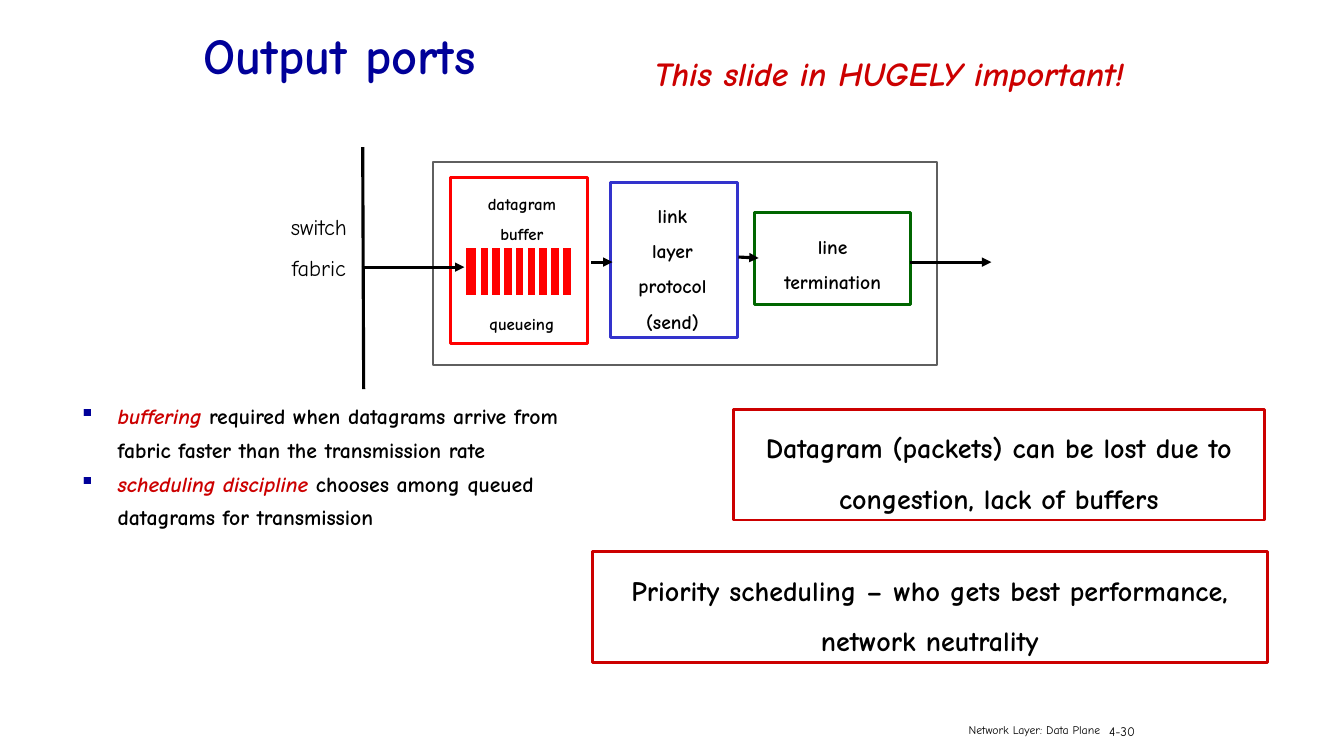
from lxml import etree
from pptx import Presentation
from pptx import util as u
from pptx.dml.color import RGBColor
from pptx.enum import shapes, text
from pptx.oxml.ns import qn

COLORS = {
    "navy": "000099", "crimson": "CC0000", "black": "000000", "white": "FFFFFF",
    "gray": "5F5F5F", "green": "006600", "blue": "3333CC", "red": "FF0000",
}
FONT = "Comic Neue"
COLUMNS, ROWS = 133.4, 75
CELL = u.Inches(0.1)

LEFT, CENTER, RIGHT = text.PP_ALIGN.LEFT, text.PP_ALIGN.CENTER, text.PP_ALIGN.RIGHT
MIDDLE = text.MSO_ANCHOR.MIDDLE
GROW = text.MSO_AUTO_SIZE.SHAPE_TO_FIT_TEXT

TITLE = ("Output ports", (19.2, 0.1, 85, 7.5))
BULLETS = [
    [("buffering", {"color": "crimson", "italic": True}),
     (" required when datagrams arrive from fabric faster than the transmission rate", {})],
    [("scheduling discipline", {"color": "crimson", "italic": True}),
     (" chooses among queued datagrams for transmission", {})],
]
BULLETS_AT = (6.9, 38.7, 52.4, 14.5)

FRAMES = [
    ((43, 16.1, 50, 20.1), "gray", 1.5),
    ((74.9, 21.1, 15.5, 9.1), "green", 2.25),
    ((60.6, 18.1, 12.6, 15.4), "blue", 2.25),
    ((44.7, 17.6, 13.6, 16.5), "red", 2.25),
]
WARNINGS = [
    ("Datagram (packets) can be lost due to congestion, lack of buffers", (72.8, 40.6, 52.7, 11)),
    ("Priority scheduling – who gets best performance, network neutrality", (58.8, 54.7, 67, 11)),
]
STAGE_LABELS = [
    (["line", "termination"], (74.9, 21.1, 15.5, 9.1), {"size": 14, "bold": True}),
    (["link", "layer", "protocol", "(send)"], (61, 21.5, 11.5, 9.1), {"size": 14, "bold": True}),
    (["switch", "fabric"], (25.9, 19.3, 11.5, 9.1), {"size": 16}),
]
BUFFER_LABEL = (["datagram", "buffer", "queueing"], (47.4, 17.7, 8.8, 16))
QUEUE_GAP = 43
QUEUE = (46, 24.4, 10.9, 5.1)
DIVIDERS = {"count": 8, "first": 47.5, "last": 55.65, "top": 24.5, "bottom": 29.4}
FABRIC_LINE = ((36, 14.6), (36.1, 38.6))
ARROWS = [
    ((58.7, 26), (60.8, 26)),
    ((73.3, 25.5), (75.3, 25.6)),
    ((90.3, 26), (98.4, 26)),
    ((35.9, 26.5), (46.1, 26.5)),
]
REMARK = ("This slide in HUGELY important!", (63.8, 2.8, 48.9, 7))
FOOTER = [
    ("4-30", (109.1, 70.8, 6.1, 3), 9.3, LEFT),
    ("Network Layer: Data Plane", (86.4, 70.8, 23.8, 2.6), 8.4, RIGHT),
]


def grid(*values):
    return [round(value * CELL) for value in values]


def rgb(name):
    return RGBColor.from_string(COLORS[name])


def set_all(target, **values):
    for name, value in values.items():
        setattr(target, name, value)


def add_run(paragraph, words, size=14, color="black", **style):
    run = paragraph.add_run()
    run.text = words
    set_all(run.font, name=FONT, size=u.Pt(size), **style)
    run.font.color.rgb = rgb(color)


def write(shape, lines, align=CENTER, spacing=1.5, frame=None, **style):
    text_frame = shape.text_frame
    set_all(text_frame, **(frame or {}))
    for index, line in enumerate(lines):
        paragraph = text_frame.add_paragraph() if index else text_frame.paragraphs[0]
        set_all(paragraph, alignment=align, line_spacing=spacing, space_before=u.Pt(0))
        for words, extra in [(line, {})] if isinstance(line, str) else line:
            add_run(paragraph, words, **{**style, **extra})
    return text_frame.paragraphs


def add_rectangle(slide, at, line, width, fill="white"):
    shape = slide.shapes.add_shape(shapes.MSO_SHAPE.RECTANGLE, *grid(*at))
    shape.shadow.inherit = False
    shape.fill.solid()
    shape.fill.fore_color.rgb = rgb(fill)
    shape.line.color.rgb = rgb(line)
    shape.line.width = u.Pt(width)
    return shape


def add_label(slide, at, lines, **style):
    return write(slide.shapes.add_textbox(*grid(*at)), lines, **style)


def add_line(slide, start, end, color="black", width=2.25, arrow=False):
    line = slide.shapes.add_connector(shapes.MSO_CONNECTOR.STRAIGHT, *grid(*start, *end))
    line.line.color.rgb = rgb(color)
    line.line.width = u.Pt(width)
    if arrow:
        etree.SubElement(line.line._get_or_add_ln(), qn("a:tailEnd"), type="triangle")
    etree.SubElement(line._element.spPr, qn("a:effectLst"))


def add_bullet(paragraph):
    properties = paragraph._p.get_or_add_pPr()
    properties.set("marL", str(u.Inches(0.38)))
    properties.set("indent", str(-u.Inches(0.38)))
    color = etree.SubElement(properties, qn("a:buClr"))
    etree.SubElement(color, qn("a:srgbClr"), val=COLORS["navy"])
    etree.SubElement(properties, qn("a:buChar"), char="▪")


def main():
    presentation = Presentation()
    set_all(presentation, slide_width=round(COLUMNS * CELL), slide_height=ROWS * CELL)
    slide = presentation.slides.add_slide(presentation.slide_layouts[5])

    words, at = TITLE
    title = slide.shapes.title
    set_all(title, **dict(zip(("left", "top", "width", "height"), grid(*at))))
    write(title, [words], align=LEFT, size=36, color="navy", bold=True,
          frame={"vertical_anchor": MIDDLE, "auto_size": text.MSO_AUTO_SIZE.NONE})

    for paragraph in add_label(slide, BULLETS_AT, BULLETS, align=LEFT, spacing=1.3,
                               size=15.5, bold=True, frame={"word_wrap": True}):
        add_bullet(paragraph)

    for at, color, width in FRAMES:
        add_rectangle(slide, at, color, width)
    for lines, at, style in STAGE_LABELS:
        add_label(slide, at, lines, **style,
                  frame={"word_wrap": False, "vertical_anchor": MIDDLE})

    lines, at = BUFFER_LABEL
    paragraphs = add_label(slide, at, lines, size=12, bold=True,
                           frame={"word_wrap": False, "auto_size": GROW})
    paragraphs[-1].space_before = u.Pt(QUEUE_GAP)

    add_rectangle(slide, QUEUE, "white", 3, fill="red")
    step = (DIVIDERS["last"] - DIVIDERS["first"]) / (DIVIDERS["count"] - 1)
    for index in range(DIVIDERS["count"]):
        x = DIVIDERS["first"] + index * step
        add_line(slide, (x, DIVIDERS["top"]), (x, DIVIDERS["bottom"]), "white", 3)

    add_line(slide, *FABRIC_LINE)
    for start, end in ARROWS:
        add_line(slide, start, end, arrow=True)

    words, at = REMARK
    add_label(slide, at, [words], size=24, color="crimson", bold=True, italic=True,
              frame={"word_wrap": False, "auto_size": GROW})
    for words, at in WARNINGS:
        write(add_rectangle(slide, at, "crimson", 2), [words], size=20, bold=True,
              frame={"word_wrap": True, "auto_size": GROW,
                     "vertical_anchor": text.MSO_ANCHOR.TOP})
    for words, at, size, align in FOOTER:
        add_label(slide, at, [words], align=align, spacing=1.3, size=size,
                  frame={"word_wrap": True})

    presentation.save("out.pptx")


if __name__ == "__main__":
    main()
